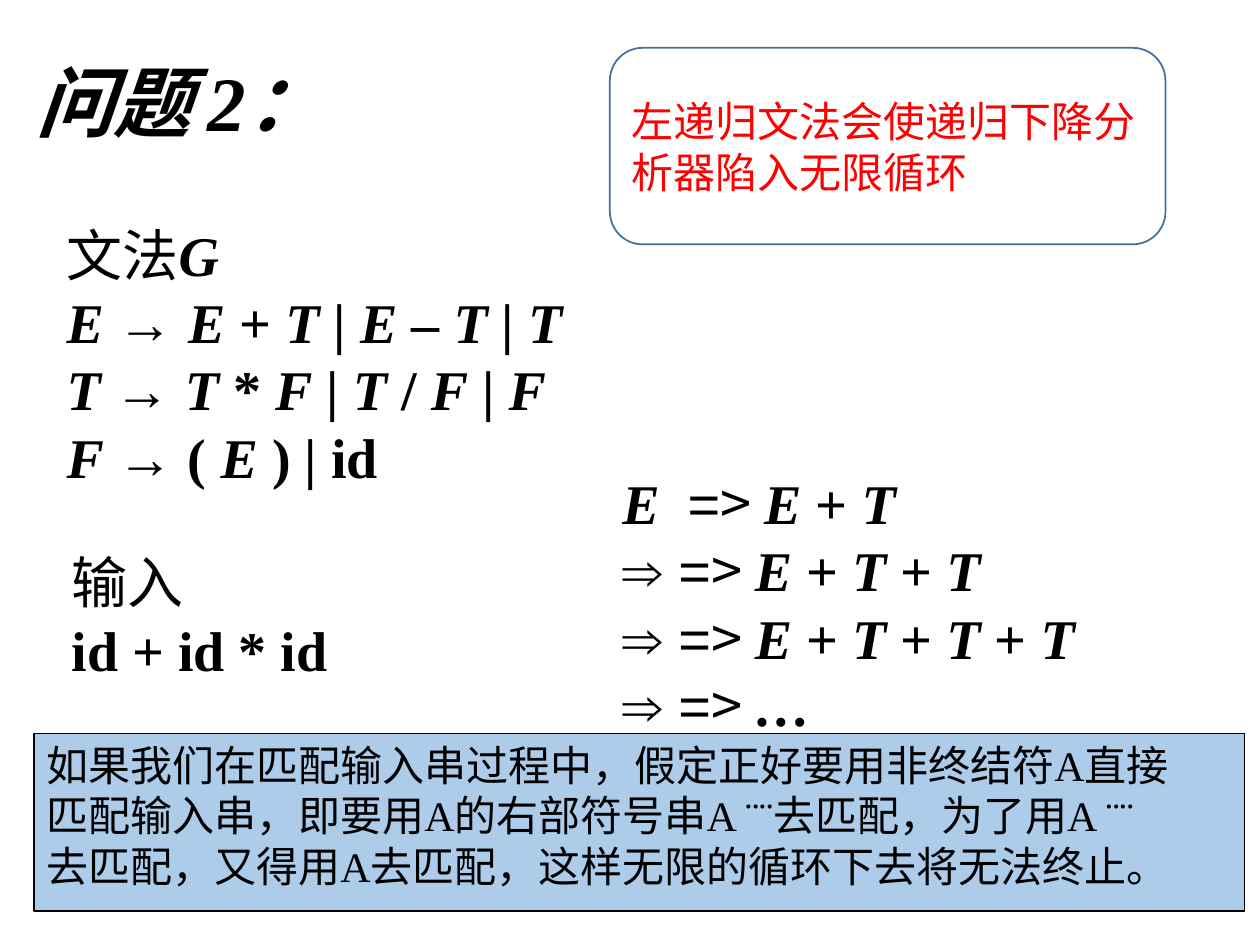
from itertools import groupby
from lxml.etree import SubElement
from pptx import Presentation
from pptx.dml.color import RGBColor
from pptx.enum.shapes import MSO_SHAPE
from pptx.enum.text import MSO_ANCHOR, MSO_AUTO_SIZE, PP_ALIGN
from pptx.oxml.ns import qn
from pptx.util import Inches, Pt

BLACK = RGBColor(0, 0, 0)
RED = RGBColor(0xFF, 0, 0)
BLUE = RGBColor(0x5B, 0x9B, 0xD5)
EDGE = RGBColor(0x41, 0x71, 0x9C)
SERIF, SANS, CJK = "Times New Roman", "Arial", "Noto Sans CJK SC"

# Content: each line is a list of (text, font, style) parts;
# "math" sets bold text with italic nonterminals
def math(text):
    return (text, SERIF, "math")


def step(text):
    return [("⇒ =", SANS, ""), ("> ", CJK, ""), math(text)]


TITLE = [[("问题 2：", SERIF, "bi")]]
RULES = [
    [("文法", CJK, ""), math("G")],
    [math("E → E + T | E – T | T")],
    [math("T → T * F | T / F | F")],
    [math("F → ( E ) | id")],
]
INPUT = [[("输入", CJK, "")], [math("id + id * id")]]
STEPS = [
    [math("E  "), ("=", SANS, ""), ("> ", CJK, ""), math("E + T")],
    step("E + T + T"),
    step("E + T + T + T"),
    [*step("")[:2], ("…", SERIF, "bi")],
]
CLAIM = [[("左递归文法会使递归下降分析器陷入无限循环", "Calibri", "")]]
NOTE = [[(text, SERIF, "")] for text in (
    "如果我们在匹配输入串过程中，假定正好要用非终结符A直接",
    "匹配输入串，即要用A的右部符号串A ¨¨去匹配，为了用A ¨¨",
    "去匹配，又得用A去匹配，这样无限的循环下去将无法终止。",
)]
# (lines, size, left, top, width, height)
BOXES = [
    (TITLE, 44, 0.19, 0.38, 4.66, 0.84),
    (RULES, 32, 0.43, 1.7, 7.09, 2.24),
    (INPUT, 32, 0.47, 4.3, 5, 1.17),
    (STEPS, 32, 4.84, 3.67, 6.38, 2.24),
]


def add_run(para, text, font, style):
    run = para.add_run()
    run.text = text
    run.font.name = font
    run.font.bold = "b" in style
    run.font.italic = "i" in style
    if any("\u2e80" <= char for char in text):
        ea = SubElement(run.font._element, qn("a:ea"))
        ea.set("typeface", CJK)


def write(frame, lines, size, color=BLACK):
    for num, line in enumerate(lines):
        para = frame.add_paragraph() if num else frame.paragraphs[0]
        para.alignment = PP_ALIGN.LEFT
        para.font.size = Pt(size)
        para.font.color.rgb = color
        for text, font, style in line:
            if style != "math":
                add_run(para, text, font, style)
                continue
            for slant, chars in groupby(text, lambda char: char in "EFGT"):
                add_run(para, "".join(chars), font, "bi" if slant else "b")


def add_panel(slide, kind, edge, width, *place):
    panel = slide.shapes.add_shape(kind, *map(Inches, place))
    panel.shadow.inherit = False
    panel.line.color.rgb = edge
    panel.line.width = Pt(width)
    return panel


deck = Presentation()
deck.slide_width, deck.slide_height = Inches(10), Inches(7.5)
slide = deck.slides.add_slide(deck.slide_layouts[6])

# Title, grammar, input and derivation
for lines, size, *place in BOXES:
    frame = slide.shapes.add_textbox(*map(Inches, place)).text_frame
    frame.word_wrap = True
    frame.auto_size = MSO_AUTO_SIZE.SHAPE_TO_FIT_TEXT
    write(frame, lines, size)

# Claim
claim = add_panel(slide, MSO_SHAPE.ROUNDED_RECTANGLE, EDGE, 1,
                  4.84, 0.38, 4.41, 1.56)
claim.fill.background()
claim.text_frame.word_wrap = True
claim.text_frame.vertical_anchor = MSO_ANCHOR.MIDDLE
write(claim.text_frame, CLAIM, 24, RED)

# Explanation on a half-transparent panel
note = add_panel(slide, MSO_SHAPE.RECTANGLE, BLACK, 0.75,
                 0.27, 5.82, 9.61, 1.41)
note.fill.solid()
note.fill.fore_color.rgb = BLUE
tint = note._element.spPr.find(qn("a:solidFill"))[0]
SubElement(tint, qn("a:alpha")).set("val", "50000")
note.text_frame.word_wrap = False
note.text_frame.vertical_anchor = MSO_ANCHOR.TOP
write(note.text_frame, NOTE, 24)

deck.save("out.pptx")
